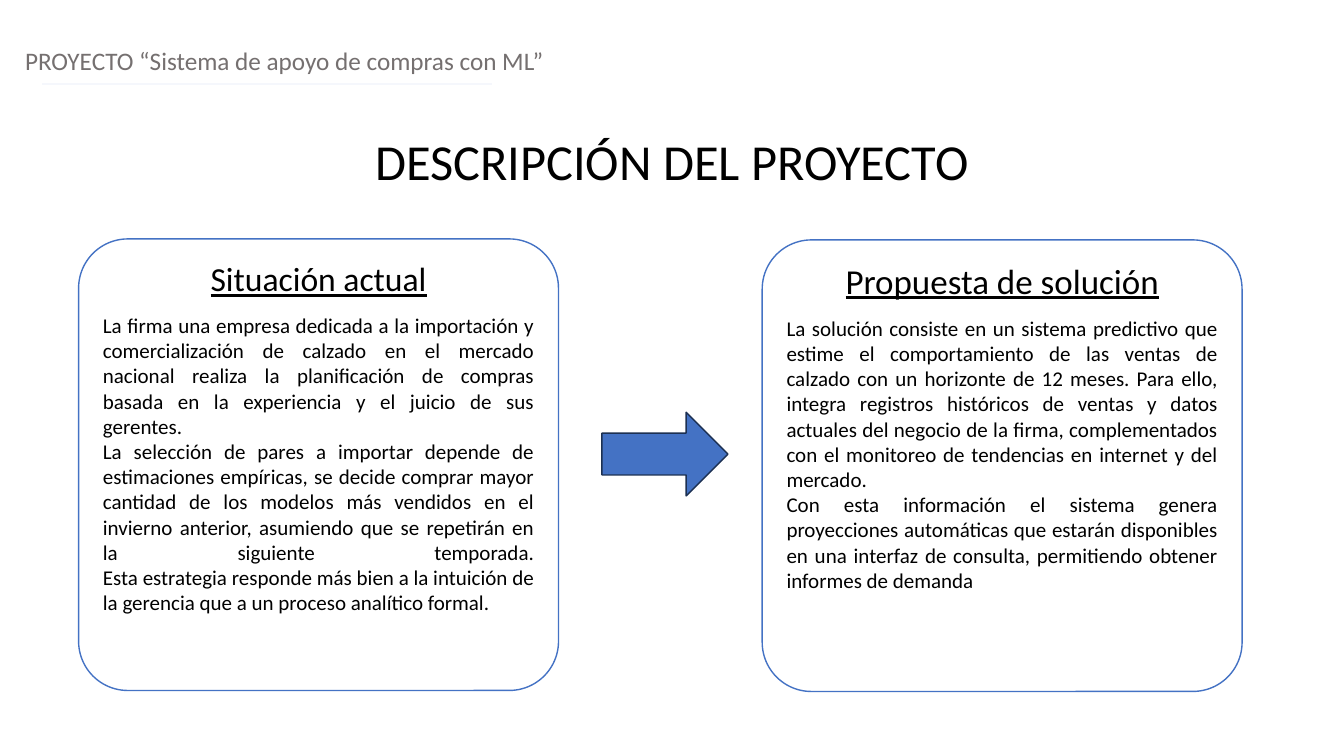
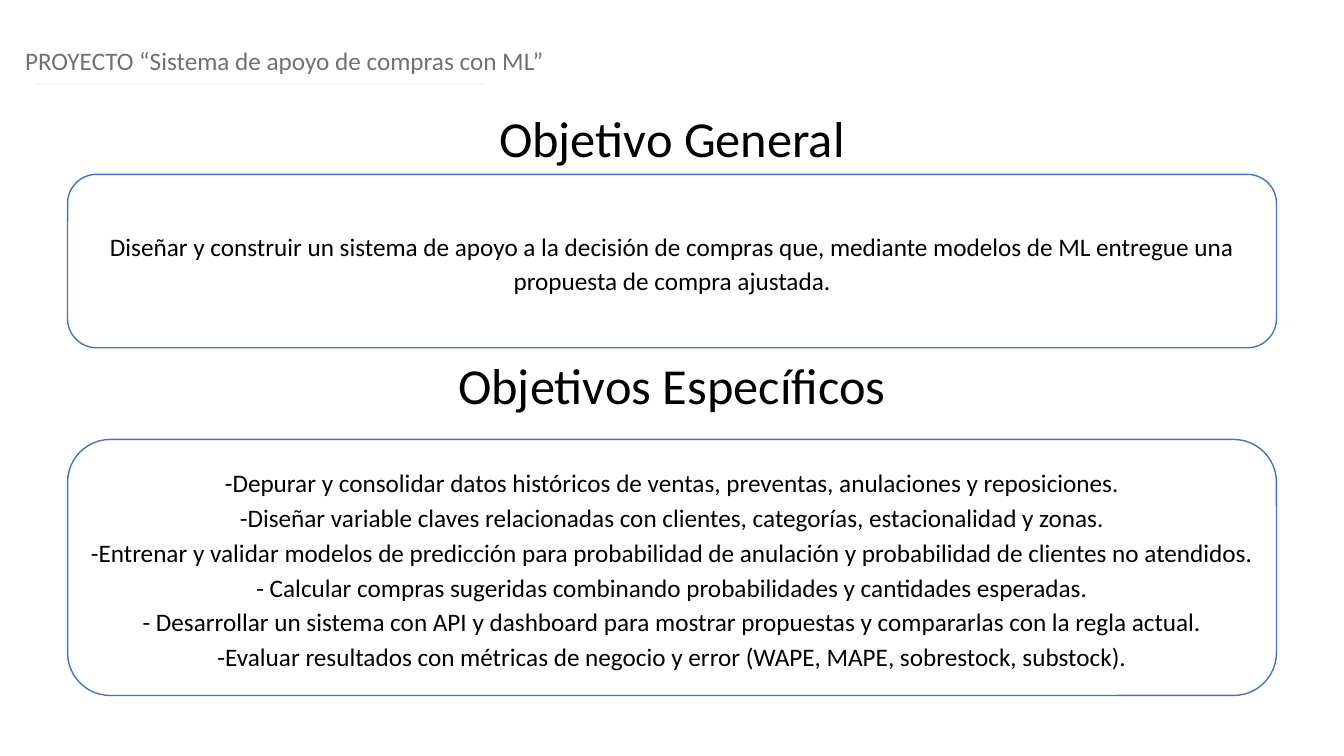
from copy import deepcopy

from lxml import etree
from pptx import Presentation
from pptx import util as u
from pptx.dml.color import RGBColor
from pptx.enum import shapes, text
from pptx.oxml.ns import qn

COLORS = {"ink": "000000", "header": "757070", "rule": "F5F7FC",
          "white": "FFFFFF", "blue": "4472C4", "navy": "1C3052"}
FONT = "Calibri"
SHAPE = shapes.MSO_SHAPE
ALIGN = text.PP_ALIGN
ANCHOR = text.MSO_ANCHOR


def write(tf, content, size=18, color="ink", align=ALIGN.CENTER,
          underline=None, before=None, spacing=None):
    """Add one paragraph, filling the first one while it is still empty."""
    p = tf.paragraphs[0]
    if p.runs:
        p = tf.add_paragraph()
    p.text = content
    p.alignment = align
    if before:
        p.space_before = u.Pt(before)
    if spacing:
        p.line_spacing = spacing
    for r in p.runs:
        r.font.name = FONT
        r.font.size = u.Pt(size)
        r.font.underline = underline
        r.font.color.rgb = RGBColor.from_string(COLORS[color])
    # Line breaks take the format of the text around them
    for br in p._p.findall(qn("a:br")):
        br.append(deepcopy(p.runs[0]._r.rPr))


def add_box(s, x, y, w, h, kind=None, fill="white", line="blue",
            radius=None, anchor=ANCHOR.TOP):
    """Add a text box, or a preset shape when a kind is given; return its text frame."""
    area = [u.Inches(v) for v in (x, y, w, h)]
    if kind is None:
        sp = s.shapes.add_textbox(*area)
    else:
        sp = s.shapes.add_shape(kind, *area)
        sp.shadow.inherit = False
        sp.fill.solid()
        sp.fill.fore_color.rgb = RGBColor.from_string(COLORS[fill])
        sp.line.color.rgb = RGBColor.from_string(COLORS[line])
        sp.line.width = u.Pt(1)
        if radius:
            sp.adjustments[0] = radius
    tf = sp.text_frame
    tf.word_wrap = True
    tf.vertical_anchor = anchor
    return tf


prs = Presentation()
prs.slide_width, prs.slide_height = u.Inches(13.33), u.Inches(7.5)

# Shared header, thin rule and centred titles: (rule start, [(title, top)])
pages = [
    (0.42, [("DESCRIPCIÓN DEL PROYECTO", 1.24)]),
    (0.36, [("Objetivo General", 1.01), ("Objetivos Específicos", 3.46)]),
]
slides = []
for rule_x, titles in pages:
    s = prs.slides.add_slide(prs.slide_layouts[6])
    slides.append(s)
    write(add_box(s, 0.15, 0.4, 13, 0.4),
          "PROYECTO “Sistema de apoyo de compras con ML”",
          color="header", align=ALIGN.LEFT)
    rule = s.shapes.add_connector(
        shapes.MSO_CONNECTOR.STRAIGHT, u.Inches(rule_x), u.Inches(0.83),
        u.Inches(rule_x + 4.46), u.Inches(0.83))
    rule.line.color.rgb = RGBColor.from_string(COLORS["rule"])
    rule.line.width = u.Pt(1.25)
    etree.SubElement(rule._element.spPr, qn("a:effectLst"))
    for title, y in titles:
        write(add_box(s, 0, y, 13.33, 0.71), title, size=36)

project, goals = slides

# Slide 1: current situation and proposed solution
cards = [
    (0.78, 2.37, "Situación actual", 24, [
        "La firma una empresa dedicada a la importación y comercialización de "
        "calzado en el mercado nacional realiza la planificación de compras "
        "basada en la experiencia y el juicio de sus gerentes.",
        "La selección de pares a importar depende de estimaciones empíricas, "
        "se decide comprar mayor cantidad de los modelos más vendidos en el "
        "invierno anterior, asumiendo que se repetirán en la siguiente "
        "temporada.\nEsta estrategia responde más bien a la intuición de la "
        "gerencia que a un proceso analítico formal."]),
    (7.56, 2.38, "Propuesta de solución", 25, [
        "La solución consiste en un sistema predictivo que estime el "
        "comportamiento de las ventas de calzado con un horizonte de 12 meses. "
        "Para ello, integra registros históricos de ventas y datos actuales "
        "del negocio de la firma, complementados con el monitoreo de tendencias "
        "en internet y del mercado.",
        "Con esta información el sistema genera proyecciones automáticas que "
        "estarán disponibles en una interfaz de consulta, permitiendo obtener "
        "informes de demanda"]),
]
for x, y, heading, size, body in cards:
    tf = add_box(project, x, y, 4.76, 4.48, SHAPE.ROUNDED_RECTANGLE, radius=0.109)
    write(tf, heading, size=size, underline=True)
    for i, content in enumerate(body):
        write(tf, content, size=15, align=ALIGN.JUSTIFY, before=0 if i else 10)

# Arrow from one card to the other
add_box(project, 5.97, 4.09, 1.25, 0.83, SHAPE.RIGHT_ARROW, fill="blue", line="navy")

# Slide 2: general and specific objectives
objectives = [
    (1.73, 1.72, [
        "Diseñar y construir un sistema de apoyo a la decisión de compras que, "
        "mediante modelos de ML entregue una propuesta de compra ajustada."]),
    (4.36, 2.54, [
        "-Depurar y consolidar datos históricos de ventas, preventas, "
        "anulaciones y reposiciones.",
        "-Diseñar variable claves relacionadas con clientes, categorías, "
        "estacionalidad y zonas.",
        "-Entrenar y validar modelos de predicción para probabilidad de "
        "anulación y probabilidad de clientes no atendidos.",
        "- Calcular compras sugeridas combinando probabilidades y cantidades "
        "esperadas.",
        "- Desarrollar un sistema con API y dashboard para mostrar propuestas "
        "y compararlas con la regla actual.",
        "-Evaluar resultados con métricas de negocio y error (WAPE, MAPE, "
        "sobrestock, substock)."]),
]
for y, h, items in objectives:
    tf = add_box(goals, 0.67, y, 11.99, h, SHAPE.ROUNDED_RECTANGLE,
                 radius=0.167, anchor=ANCHOR.MIDDLE)
    for item in items:
        write(tf, item, spacing=1.15)

prs.save("out.pptx")
